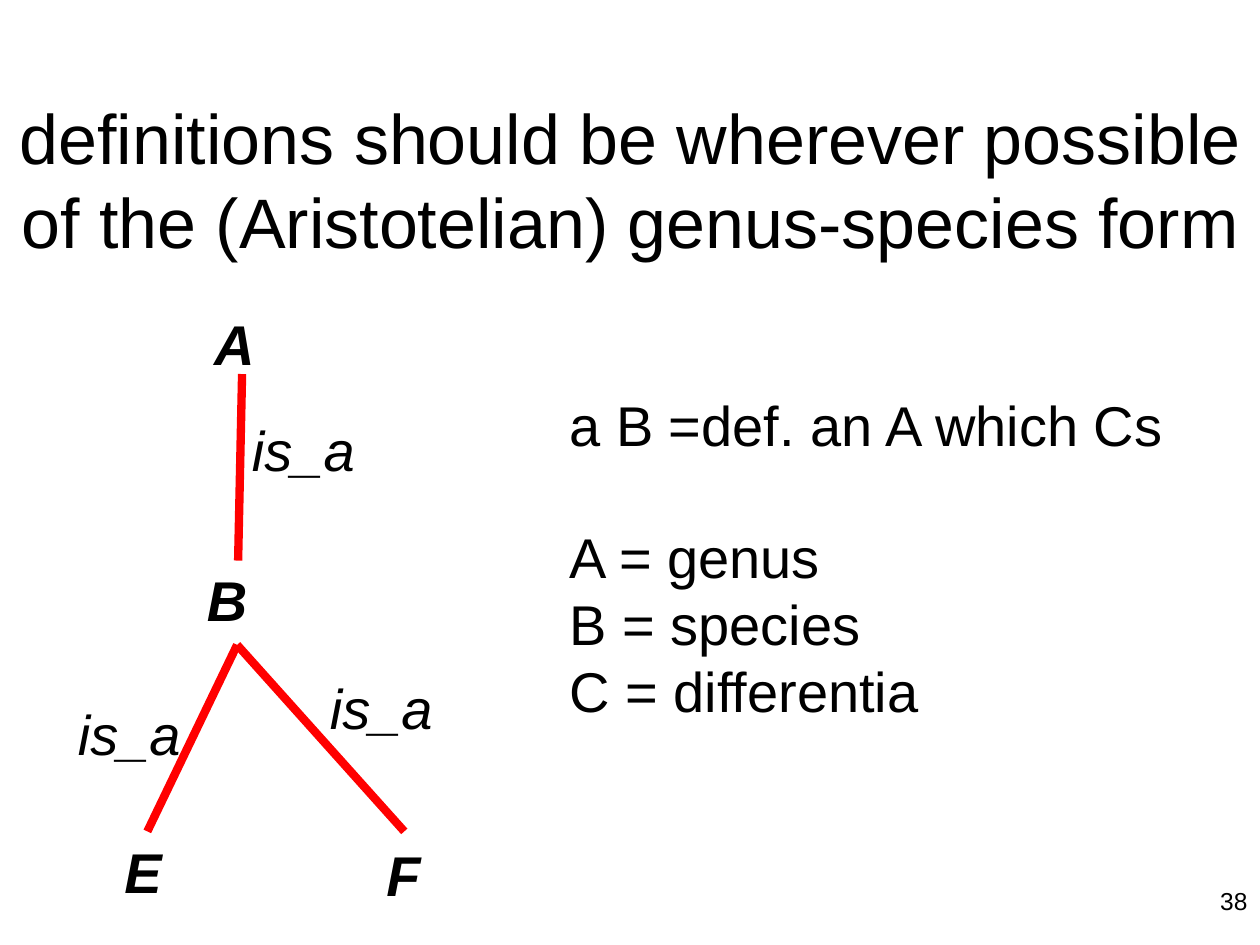
from dataclasses import dataclass

from lxml import etree
from pptx import Presentation
from pptx import util as u
from pptx.dml.color import RGBColor
from pptx.enum import shapes, text


@dataclass(frozen=True)
class Theme:
    font: str = "Arial"
    ink: RGBColor = RGBColor(0, 0, 0)
    edge: RGBColor = RGBColor(255, 0, 0)
    head: int = 40
    main: int = 32
    foot: int = 14
    line: float = 4.75


THEME = Theme()
LEFT, MID, RIGHT = text.PP_ALIGN.LEFT, text.PP_ALIGN.CENTER, text.PP_ALIGN.RIGHT


def add_text(slide, words, place, size=THEME.main, bold=False, slant=False,
             align=LEFT, wrap=True, grow=True):
    """Add a text box at place (left, top, width, height in cm)."""
    box = slide.shapes.add_textbox(*map(u.Cm, place))
    frame = box.text_frame
    frame.text = words
    frame.word_wrap = wrap
    fit = text.MSO_AUTO_SIZE
    frame.auto_size = fit.SHAPE_TO_FIT_TEXT if grow else fit.NONE
    for par in frame.paragraphs:
        par.alignment = align
        for run in par.runs:
            font = run.font
            font.name, font.size = THEME.font, u.Pt(size)
            font.bold, font.italic = bold, slant
            font.color.rgb = THEME.ink
    return frame


def add_title(slide):
    words = ("definitions should be wherever possible "
             "of the (Aristotelian) genus-species form")
    frame = add_text(slide, words, (0, 1.47, 25.4, 4.24), THEME.head,
                     align=MID, grow=False)
    frame.vertical_anchor = text.MSO_ANCHOR.MIDDLE
    frame.paragraphs[0].space_after = u.Pt(7.2)


def add_edge(slide, start, end):
    ends = map(u.Cm, (*start, *end))
    edge = slide.shapes.add_connector(shapes.MSO_CONNECTOR.STRAIGHT, *ends)
    edge.line.color.rgb = THEME.edge
    edge.line.width = u.Pt(THEME.line)
    props = edge.element.spPr
    space = props.nsmap["a"]
    etree.SubElement(props, f"{{{space}}}effectLst")


def add_tree(slide):
    fork = (4.78, 13)
    for start, end in (((4.88, 7.54), (4.8, 11.3)),
                       (fork, (8.15, 16.76)),
                       (fork, (2.97, 16.76))):
        add_edge(slide, start, end)

    for name, left, top in (("A", 3.1, 6.12), ("B", 2.95, 11.28)):
        frame = add_text(slide, name, (left, top, 9.17, 1.6),
                         bold=True, slant=True)
        frame.margin_left = u.Cm(1.22)

    for name, left, top in (("E", 2.26, 16.76), ("F", 7.54, 16.81)):
        add_text(slide, name, (left, top, 1.25, 1.62),
                 bold=True, slant=True, wrap=False)

    for left, top in ((4.83, 8.26), (6.4, 13.46), (1.32, 13.97)):
        add_text(slide, "is_a", (left, top, 2.59, 1.6),
                 slant=True, wrap=False)


def add_key(slide):
    """Add the definition and, one line lower, the meaning of its letters."""
    lines = ("a B =def. an A which Cs", "A = genus",
             "B = species", "C = differentia")
    frame = add_text(slide, "\n".join(lines), (11.23, 7.75, 12.95, 7.09))
    frame.paragraphs[1].space_before = u.Pt(THEME.main * 1.15)


def main():
    deck = Presentation()
    deck.slide_width, deck.slide_height = u.Cm(25.4), u.Cm(19.05)
    slide = deck.slides.add_slide(deck.slide_layouts[6])
    add_title(slide)
    add_tree(slide)
    add_key(slide)
    add_text(slide, "38", (19.48, 17.73, 5.92, 1.32), THEME.foot,
             align=RIGHT, grow=False)
    deck.save("out.pptx")


if __name__ == "__main__":
    main()
